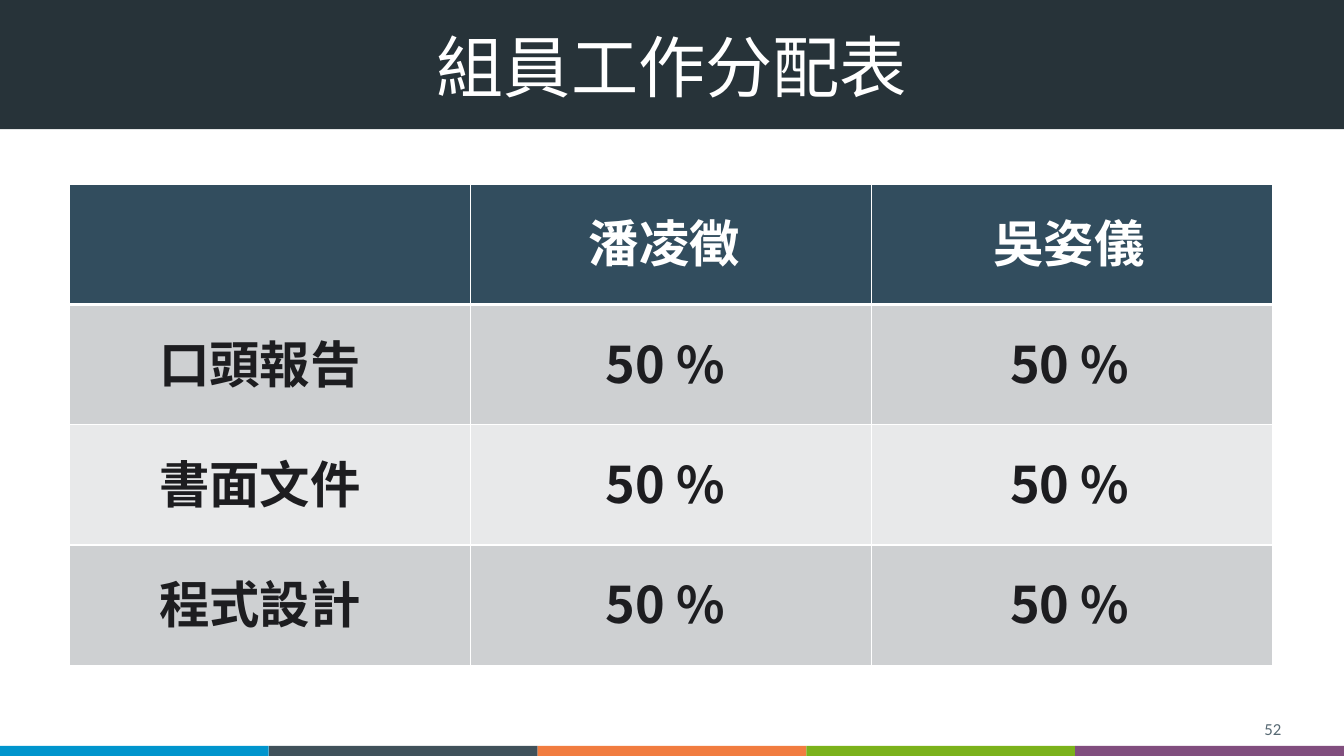
import lxml.etree
import pptx
import pptx.dml.color
import pptx.enum.shapes
import pptx.enum.text
import pptx.oxml.ns
import pptx.util

RGB = pptx.dml.color.RGBColor
ALIGN = pptx.enum.text.PP_ALIGN
MIDDLE = pptx.enum.text.MSO_ANCHOR.MIDDLE
FIT = pptx.enum.text.MSO_AUTO_SIZE.SHAPE_TO_FIT_TEXT
qn = pptx.oxml.ns.qn

WHITE = RGB(0xFF, 0xFF, 0xFF)
BAND = RGB(0x27, 0x33, 0x39)
NUMBER = RGB(0x57, 0x69, 0x73)
INK = RGB(0x1D, 0x1D, 0x20)
HEADER = RGB(0x32, 0x4D, 0x5E)
GREY = RGB(0xCE, 0xD0, 0xD2)
PALE = RGB(0xE8, 0xE9, 0xEA)
STRIPES = [RGB(0x00, 0x95, 0xCD), RGB(0x40, 0x51, 0x5A), RGB(0xF1, 0x7C, 0x3F),
           RGB(0x7B, 0xB2, 0x1B), RGB(0x81, 0x4E, 0x7E)]
CJK = "Noto Sans CJK SC"

WORK = [["", "潘凌徵", "吳姿儀"],
        ["口頭報告", "50 %", "50 %"],
        ["書面文件", "50 %", "50 %"],
        ["程式設計", "50 %", "50 %"]]
LABEL_WIDTHS = {3: 5.16, 4: 6.66}
SHARE_WIDTH = 4.17


class Deck:
    columns, rows = 40, 30

    def __init__(self):
        self.prs = pptx.Presentation()
        self.prs.slide_width = pptx.util.Inches(13.33)
        self.prs.slide_height = pptx.util.Inches(7.5)
        self.s = self.prs.slides.add_slide(self.prs.slide_layouts[5])

    def grid(self, x, y, w, h):
        col = self.prs.slide_width / self.columns
        row = self.prs.slide_height / self.rows
        return [round(v) for v in (x * col, y * row, w * col, h * row)]

    def assign(self, target, values):
        for name, value in values.items():
            setattr(target, name, value)

    def fill_text(self, tf, text, font, color, frame, para):
        self.assign(tf, frame)
        p = tf.paragraphs[0]
        self.assign(p, para)
        r = p.add_run()
        r.text = text
        self.assign(r.font, font)
        r.font.color.rgb = color
        ea = lxml.etree.SubElement(r.font._element, qn("a:ea"))
        ea.set("typeface", font["name"])

    def rect(self, box, color):
        sp = self.s.shapes.add_shape(pptx.enum.shapes.MSO_SHAPE.RECTANGLE, *self.grid(*box))
        sp.shadow.inherit = False
        sp.fill.solid()
        sp.fill.fore_color.rgb = color
        sp.line.fill.background()

    def title(self, box, text):
        sp = self.s.shapes.title
        self.assign(sp, dict(zip(("left", "top", "width", "height"), self.grid(*box))))
        self.s.shapes._spTree.append(sp._element)
        self.fill_text(sp.text_frame, text, {"name": CJK, "size": pptx.util.Pt(48)}, WHITE,
                       {"vertical_anchor": MIDDLE, "word_wrap": True},
                       {"alignment": ALIGN.CENTER, "line_spacing": 0.9})

    def text(self, box, text, font, color, frame, para):
        sp = self.s.shapes.add_textbox(*self.grid(*box))
        self.fill_text(sp.text_frame, text, font, color, frame, para)

    def label(self, cx, cy, w, text, color):
        h = 2.84
        self.text((cx - w / 2, cy - h / 2, w, h), text,
                  {"name": CJK, "size": pptx.util.Pt(36), "bold": True}, color,
                  {"word_wrap": False, "auto_size": FIT}, {"alignment": ALIGN.LEFT})

    def border(self, cell, widths):
        tc_pr = cell._tc.get_or_add_tcPr()
        for i, (side, width) in enumerate(widths.items()):
            ln = lxml.etree.Element(qn("a:ln" + side), w=str(int(pptx.util.Pt(width))))
            fill = lxml.etree.SubElement(ln, qn("a:solidFill"))
            lxml.etree.SubElement(fill, qn("a:srgbClr"), val=str(WHITE))
            tc_pr.insert(i, ln)

    def table(self, box, row_fills, columns):
        tbl = self.s.shapes.add_table(len(row_fills), columns, *self.grid(*box)).table
        for j, color in enumerate(row_fills):
            for cell in tbl.rows[j].cells:
                cell.fill.solid()
                cell.fill.fore_color.rgb = color
                self.border(cell, {"L": 1, "R": 1, "T": 3 if j == 1 else 1,
                                   "B": 3 if j == 0 else 1})


def main():
    deck = Deck()
    deck.rect((0, -0.04, 40, 5.16), BAND)
    for i, color in enumerate(STRIPES):
        deck.rect((8 * i, 29.6, 8, 0.4), color)
    deck.title((0.8, 1.32, 38.4, 2.96), "組員工作分配表")
    deck.text((29.43, 28.28, 9, 1.24), "52", {"name": "Calibri", "size": pptx.util.Pt(12)},
              NUMBER, {"vertical_anchor": MIDDLE, "word_wrap": True}, {"alignment": ALIGN.RIGHT})
    deck.table((2.07, 7.32, 35.82, 19.08), [HEADER, GREY, PALE, GREY], len(WORK[0]))
    for j, row in enumerate(WORK):
        for i, text in enumerate(row):
            if text:
                width = SHARE_WIDTH if i and j else LABEL_WIDTHS[len(text)]
                deck.label(7.77 + 12.04 * i, 9.66 + 4.77 * j, width, text, INK if j else WHITE)
    deck.prs.save("out.pptx")


if __name__ == "__main__":
    main()
